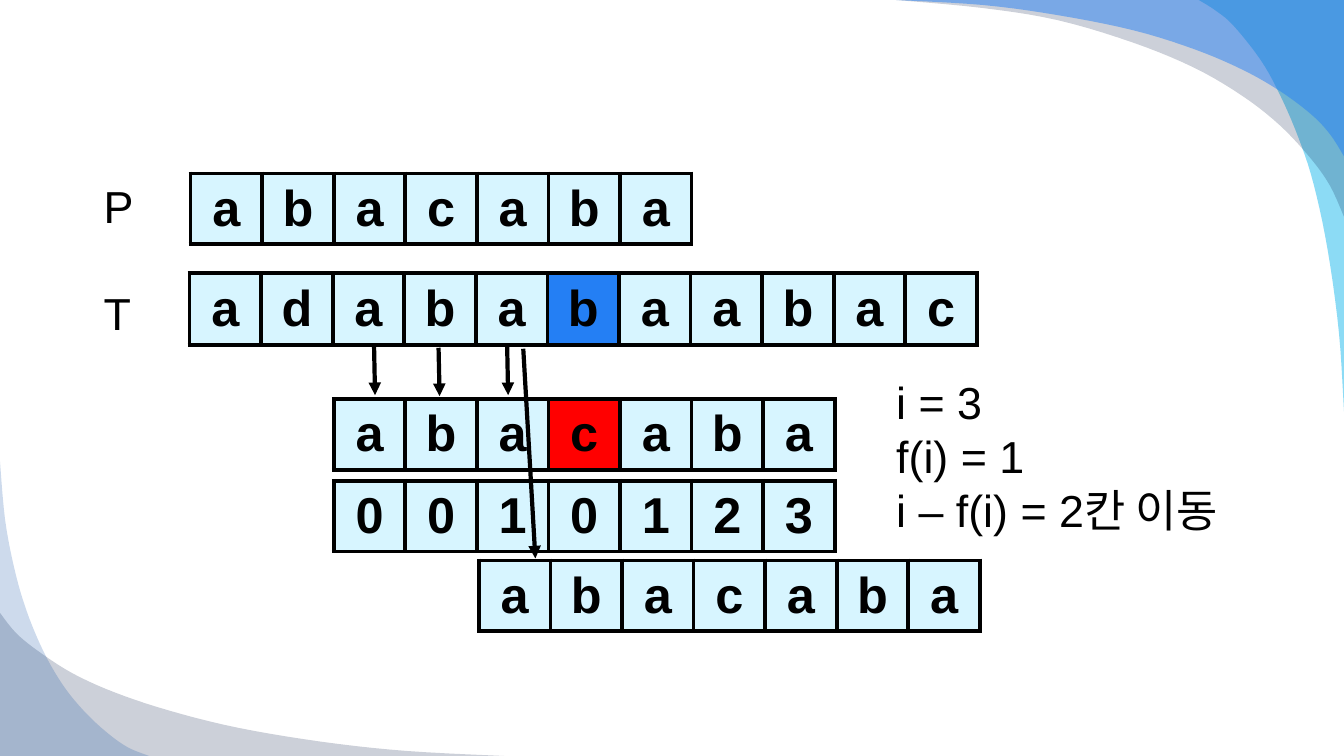
from lxml import etree
from pptx import Presentation
from pptx.dml.color import RGBColor
from pptx.enum.shapes import MSO_CONNECTOR
from pptx.enum.text import MSO_ANCHOR, PP_ALIGN
from pptx.oxml.ns import qn
from pptx.util import Inches, Pt

FONT, BLACK, CELL, BLUE, RED = "Arial", "000000", "D7F5FF", "247FF4", "FF0000"
CELL_W = 0.71

# Corner swooshes: fill, opacity in percent, page corner, points along the curved edge
SWOOSHES = [
    ("00B1E9", 45, (13.33, 0),
     [(11.89, 0), (12.05, 0.1), (12.23, 0.25), (12.5, 0.59), (12.69, 0.93),
      (12.88, 1.37), (13.03, 1.83), (13.17, 2.49), (13.28, 3.3), (13.33, 4.08)]),
    ("021741", 20, (13.33, 0),
     [(8.89, 0), (9.75, 0.08), (10.49, 0.2), (11.23, 0.42), (11.84, 0.67),
      (12.32, 0.95), (12.69, 1.24), (12.99, 1.56), (13.19, 1.84), (13.33, 2.15)]),
    (BLUE, 49, (13.33, 0),
     [(8.89, 0), (9.75, 0.05), (10.49, 0.15), (11.24, 0.3), (11.85, 0.49),
      (12.32, 0.69), (12.69, 0.9), (13, 1.13), (13.19, 1.33), (13.33, 1.55)]),
    ("021741", 20, (0, 7.5),
     [(5, 7.5), (4.03, 7.45), (3.2, 7.36), (2.36, 7.22), (1.68, 7.05),
      (1.14, 6.87), (0.72, 6.68), (0.38, 6.46), (0.16, 6.28), (0, 6.08)]),
    ("084AA1", 20, (0, 7.5),
     [(0, 4.58), (0.05, 5.15), (0.14, 5.63), (0.26, 6.05), (0.43, 6.46),
      (0.62, 6.79), (0.82, 7.04), (1.04, 7.25), (1.26, 7.41), (1.48, 7.5)]),
]

# Rows of letters: left, top, height, contents, {highlighted cell: colour}
ROWS = [
    (1.89, 1.72, 0.7, "abacaba", {}),
    (1.88, 2.71, 0.71, "adababaabac", {5: BLUE}),
    (3.31, 3.96, 0.7, "abacaba", {3: RED}),
    (4.75, 5.56, 0.7, "abacaba", {}),
    (3.31, 4.77, 0.7, "0010123", {}),
]

# Labels: left, top, width, height, wrap, lines
LABELS = [
    (0.93, 1.72, 0.68, 0.64, True, ["P"]),
    (0.93, 2.79, 0.68, 0.64, True, ["T"]),
    (8.79, 3.67, 4.31, 1.72, False, ["i = 3", "f(i) = 1", "i – f(i) = 2칸 이동"]),
]

ARROWS = [
    (3.71, 3.43, 3.72, 3.92),
    (4.35, 3.45, 4.36, 3.93),
    (5.03, 3.43, 5.04, 3.92),
    (5.19, 3.46, 5.31, 5.54),
]


def color(target, value):
    target.rgb = RGBColor.from_string(value)


def paint(fill, value):
    fill.solid()
    color(fill.fore_color, value)


def style(p, size, bold=False):
    for r in p.runs:
        r.font.size, r.font.name, r.font.bold = Pt(size), FONT, bold
        color(r.font.color, BLACK)


def smooth(pts, steps=5):
    """Catmull-Rom curve through pts."""
    ends = [pts[0], *pts, pts[-1]]
    curve = [pts[0]]
    for a, b, c, d in zip(ends, ends[1:], ends[2:], ends[3:]):
        for k in range(1, steps + 1):
            t = k / steps
            curve.append(tuple(
                (2 * q + (r - p) * t + (2 * p - 5 * q + 4 * r - u) * t ** 2
                 + (3 * q - p - 3 * r + u) * t ** 3) / 2
                for p, q, r, u in zip(a, b, c, d)))
    return curve


def add_swoosh(s, fill, opacity, corner, edge):
    pts = [(Inches(x), Inches(y)) for x, y in [corner, *smooth(edge)]]
    fb = s.shapes.build_freeform(*pts[0])
    fb.add_line_segments(pts[1:], close=True)
    sp = fb.convert_to_shape()
    sp.shadow.inherit = False
    sp.line.fill.background()
    paint(sp.fill, fill)
    clr = sp.fill._xPr.find(".//" + qn("a:srgbClr"))
    etree.SubElement(clr, qn("a:alpha"), val=str(opacity * 1000))


def add_borders(cell):
    tcPr = cell._tc.get_or_add_tcPr()
    for i, side in enumerate(("lnL", "lnR", "lnT", "lnB")):
        ln = etree.Element(qn("a:" + side), w=str(Pt(3)))
        fill = etree.SubElement(ln, qn("a:solidFill"))
        etree.SubElement(fill, qn("a:srgbClr"), val=BLACK)
        tcPr.insert(i, ln)


def add_row(s, left, top, height, letters, marks):
    table = s.shapes.add_table(1, len(letters), Inches(left), Inches(top),
                               Inches(CELL_W * len(letters)), Inches(height)).table
    for i, letter in enumerate(letters):
        table.columns[i].width = Inches(CELL_W)
        cell = table.cell(0, i)
        cell.text = letter
        cell.vertical_anchor = MSO_ANCHOR.MIDDLE
        p = cell.text_frame.paragraphs[0]
        p.alignment = PP_ALIGN.CENTER
        style(p, 36, bold=True)
        paint(cell.fill, marks.get(i, CELL))
        add_borders(cell)


def add_label(s, left, top, width, height, wrap, lines):
    tf = s.shapes.add_textbox(Inches(left), Inches(top),
                              Inches(width), Inches(height)).text_frame
    tf.word_wrap = wrap
    tf.text = "\n".join(lines)
    for p in tf.paragraphs:
        style(p, 32)


def add_arrow(s, *ends):
    line = s.shapes.add_connector(MSO_CONNECTOR.STRAIGHT, *map(Inches, ends))
    line.line.width = Pt(3)
    paint(line.line.fill, BLACK)
    etree.SubElement(line.line._get_or_add_ln(), qn("a:tailEnd"), type="triangle")
    etree.SubElement(line._element.spPr, qn("a:effectLst"))


prs = Presentation()
prs.slide_width, prs.slide_height = Inches(13.33), Inches(7.5)
s = prs.slides.add_slide(prs.slide_layouts[6])

for add, items in ((add_swoosh, SWOOSHES), (add_row, ROWS),
                   (add_label, LABELS), (add_arrow, ARROWS)):
    for item in items:
        add(s, *item)

prs.save("out.pptx")
